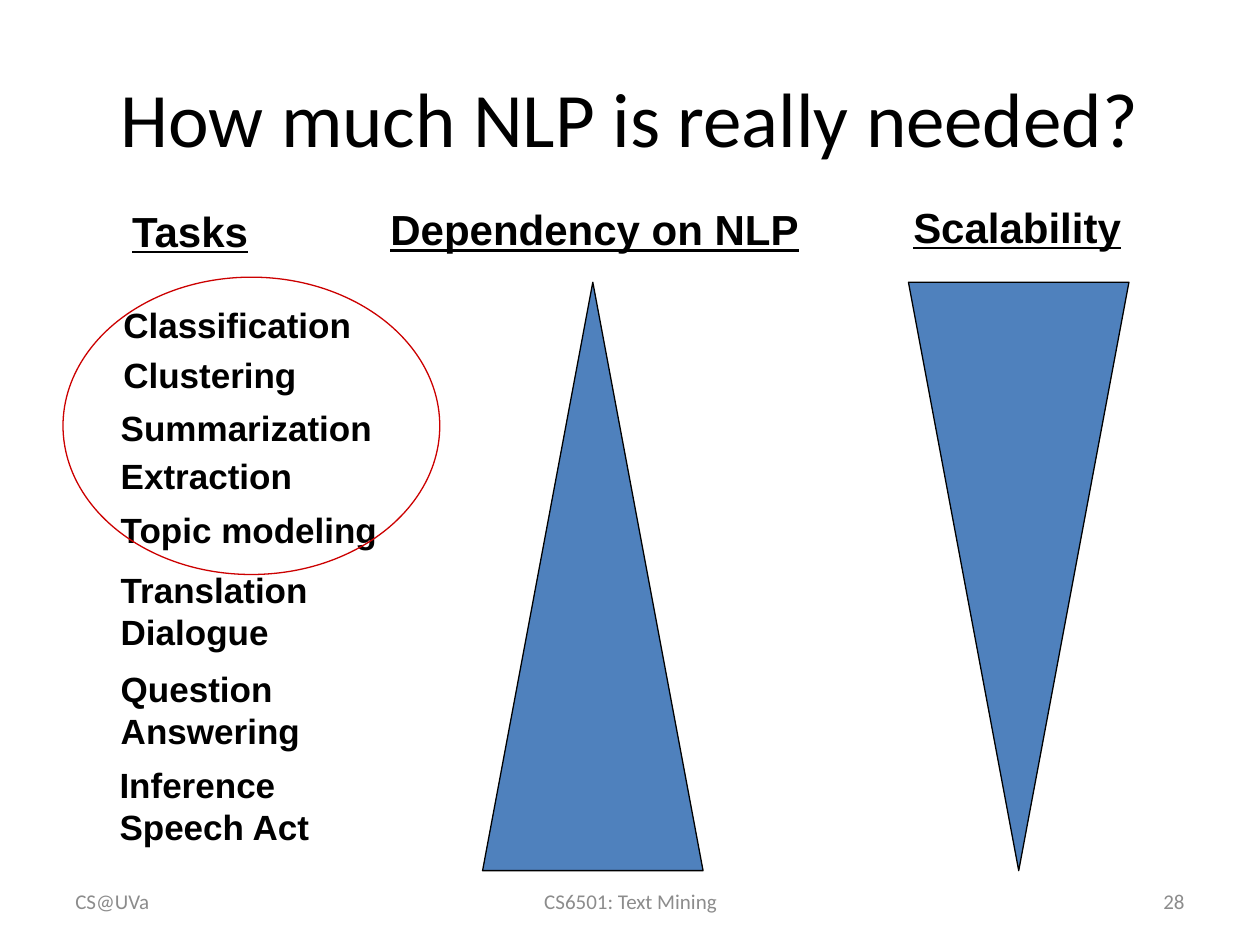
import dataclasses

import pptx
import pptx.dml.color
import pptx.enum.shapes
import pptx.enum.text
import pptx.util

SHAPES = pptx.enum.shapes.MSO_SHAPE
ALIGN = pptx.enum.text.PP_ALIGN
ANCHOR = pptx.enum.text.MSO_ANCHOR

# The slide is a grid of 100 columns by 75 rows.
CELL = pptx.util.Inches(0.1)
COLUMNS, ROWS = 100, 75

COLORS = {"text": "000000", "footer": "8C8C8C", "wedge": "4F81BD",
          "outline": "000000", "highlight": "CC0000"}

TITLE_FONT = {"name": "Calibri", "size": pptx.util.Pt(44)}
HEADING_FONT = {"name": "Arial", "size": pptx.util.Pt(24), "bold": True, "underline": True}
TASK_FONT = {"name": "Arial", "size": pptx.util.Pt(20), "bold": True}
FOOTER_FONT = {"name": "Calibri", "size": pptx.util.Pt(12)}


@dataclasses.dataclass
class Box:
    column: float
    row: float
    width: float
    height: float

    def lengths(self) -> list[int]:
        return [round(value * CELL) for value in dataclasses.astuple(self)]


@dataclasses.dataclass
class Label:
    text: str
    box: Box
    font: dict
    color: str = "text"
    align: ALIGN = ALIGN.LEFT
    anchor: ANCHOR = ANCHOR.TOP
    wrap: bool = False


@dataclasses.dataclass
class Figure:
    kind: SHAPES
    box: Box
    line: str
    fill: str | None = None
    rotation: float = 0


def heading(text: str, column: float, row: float, width: float) -> Label:
    return Label(text, Box(column, row, width, 5), HEADING_FONT)


def task(text: str, column: float, row: float, width: float) -> Label:
    height = 4.35 + 3.35 * text.count("\n")
    return Label(text, Box(column, row, width, height), TASK_FONT)


def footer(text: str, column: float, width: float, align: ALIGN) -> Label:
    return Label(text, Box(column, 69.5, width, 4), FOOTER_FONT, "footer",
                 align, ANCHOR.MIDDLE, True)


def wedge(column: float, rotation: float = 0) -> Figure:
    return Figure(SHAPES.ISOSCELES_TRIANGLE, Box(column, 22.4, 17.5, 46.7),
                  "outline", "wedge", rotation)


TITLE = Label("How much NLP is really needed?", Box(5, 3, 90, 12.5), TITLE_FONT,
              align=ALIGN.CENTER, anchor=ANCHOR.MIDDLE, wrap=True)

FIGURES = [
    wedge(38.3),
    wedge(72.1, rotation=180),
    Figure(SHAPES.OVAL, Box(5, 22, 29.9, 23.6), "highlight"),
]

LABELS = [
    heading("Tasks", 9.5, 15.8, 11.5),
    heading("Dependency on NLP", 30, 15.7, 34.4),
    heading("Scalability", 71.5, 15.5, 18.7),
    task("Classification", 8.8, 23.6, 20.8),
    task("Clustering", 8.8, 27.6, 15.9),
    task("Summarization", 8.6, 31.8, 22.7),
    task("Extraction", 8.6, 35.6, 16.4),
    task("Topic modeling", 8.6, 39.9, 22.5),
    task("Translation\nDialogue", 8.6, 44.6, 17),
    task("Question\nAnswering", 8.6, 52.5, 16.2),
    task("Inference\nSpeech Act", 8.5, 60.1, 17.2),
    footer("CS@UVa", 5, 23.3, ALIGN.LEFT),
    footer("CS6501: Text Mining", 34.2, 31.7, ALIGN.CENTER),
    footer("28", 71.7, 23.3, ALIGN.RIGHT),
]


def rgb(name: str) -> pptx.dml.color.RGBColor:
    return pptx.dml.color.RGBColor.from_string(COLORS[name])


def place(shape, box: Box) -> None:
    for side, length in zip(("left", "top", "width", "height"), box.lengths()):
        setattr(shape, side, length)


def write_label(shape, label: Label) -> None:
    frame = shape.text_frame
    frame.text = label.text
    frame.word_wrap = label.wrap
    frame.vertical_anchor = label.anchor
    for paragraph in frame.paragraphs:
        paragraph.alignment = label.align
        for run in paragraph.runs:
            for name, value in label.font.items():
                setattr(run.font, name, value)
            run.font.color.rgb = rgb(label.color)


def draw_figure(slide, figure: Figure) -> None:
    shape = slide.shapes.add_shape(figure.kind, *figure.box.lengths())
    shape.shadow.inherit = False
    shape.rotation = figure.rotation
    shape.line.color.rgb = rgb(figure.line)
    shape.line.width = pptx.util.Pt(0.75)
    if figure.fill:
        shape.fill.solid()
        shape.fill.fore_color.rgb = rgb(figure.fill)
    else:
        shape.fill.background()


def main() -> None:
    presentation = pptx.Presentation()
    presentation.slide_width = COLUMNS * CELL
    presentation.slide_height = ROWS * CELL
    slide = presentation.slides.add_slide(presentation.slide_layouts[5])

    title = slide.shapes.title
    place(title, TITLE.box)
    write_label(title, TITLE)
    for label in LABELS:
        write_label(slide.shapes.add_textbox(*label.box.lengths()), label)
    for figure in FIGURES:
        draw_figure(slide, figure)

    presentation.save("out.pptx")


if __name__ == "__main__":
    main()
